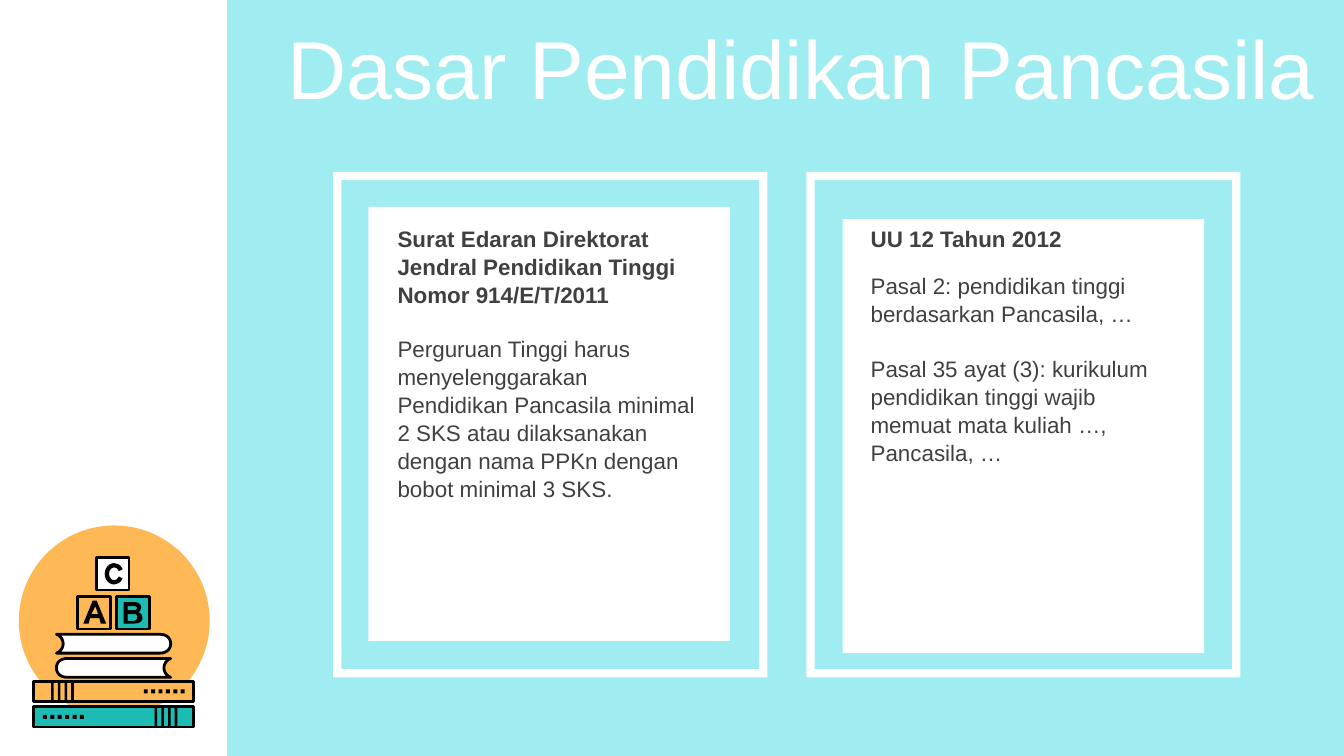
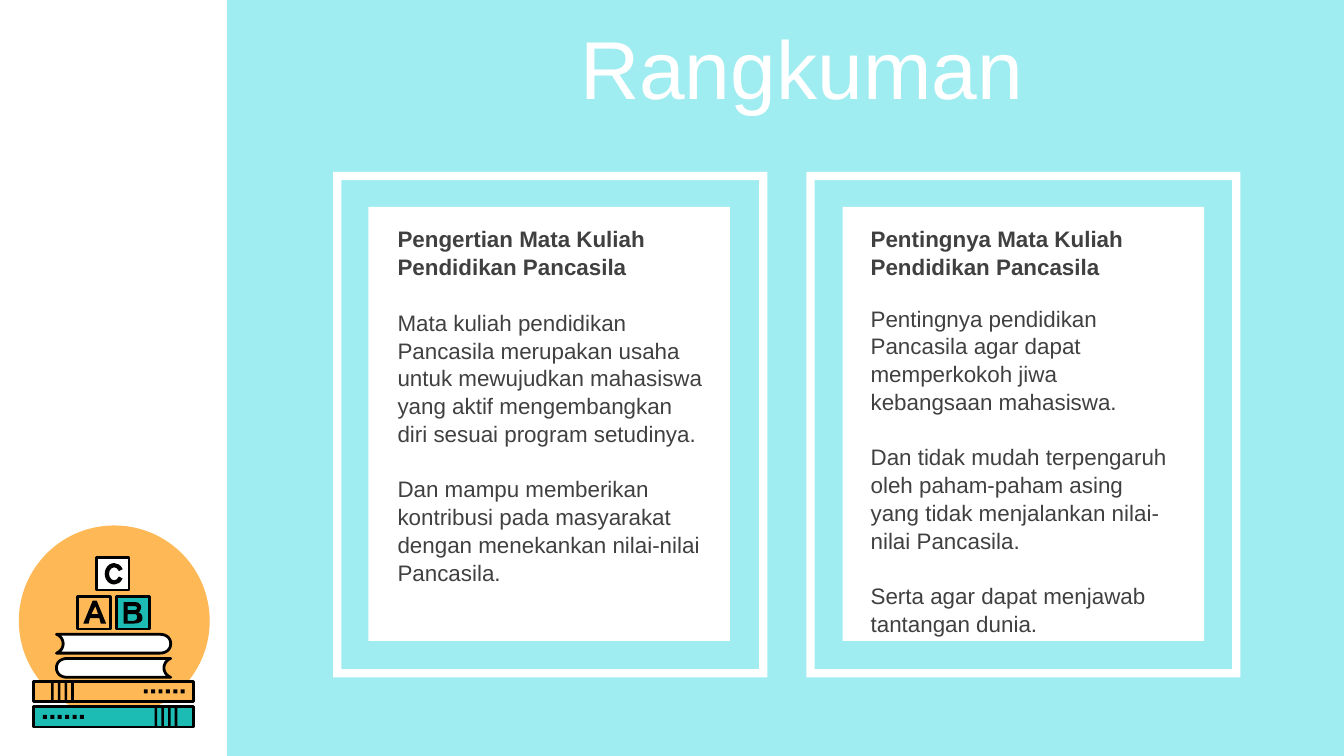
from pptx import Presentation
from pptx.dml.color import RGBColor
from pptx.enum.shapes import MSO_SHAPE
from pptx.enum.text import MSO_ANCHOR, PP_ALIGN
from pptx.util import Inches, Pt

WHITE = RGBColor(0xFF, 0xFF, 0xFF)
BLACK = RGBColor(0x00, 0x00, 0x00)
AQUA = RGBColor(0x9F, 0xED, 0xF0)
ORANGE = RGBColor(0xFE, 0xB8, 0x56)
TEAL = RGBColor(0x1C, 0xBB, 0xB4)
GREY = RGBColor(0x40, 0x40, 0x40)
FONT = "Arial"
CURVE_STEPS = 8

COLUMNS = ((2.48, 2.74, 2.86), (6, 6.27, 6.38))

LETTER_A = (
    ((0.71, 4.51), (0.68, 4.57), (0.73, 4.57)),
    ((0.69, 4.47), (0.72, 4.47), (0.79, 4.64), (0.75, 4.64),
     (0.74, 4.6), (0.67, 4.6), (0.66, 4.64), (0.62, 4.64)),
)
LETTER_B = (
    ((0.95, 4.57), (0.95, 4.62), (1, 4.62),
     (1.02, 4.61, 1.02, 4.61, 1.02, 4.59), (1.02, 4.58, 1.02, 4.57, 1, 4.57)),
    ((0.95, 4.51), (0.95, 4.54), (1, 4.54),
     (1.01, 4.54, 1.02, 4.54, 1.02, 4.52), (1.02, 4.52, 1.01, 4.51, 1, 4.51)),
    ((0.92, 4.48), (1, 4.48),
     (1.04, 4.48, 1.05, 4.51, 1.05, 4.51), (1.05, 4.54, 1.04, 4.55, 1.03, 4.56),
     (1.05, 4.56, 1.06, 4.58, 1.06, 4.6), (1.06, 4.63, 1.03, 4.64, 1, 4.64),
     (0.92, 4.64)),
)
LYING_BOOK = (
    (0.42, 4.72), (1.19, 4.72),
    (1.24, 4.72, 1.27, 4.75, 1.27, 4.79), (1.27, 4.83, 1.24, 4.86, 1.19, 4.86),
    (0.42, 4.86),
    (0.45, 4.85, 0.47, 4.82, 0.47, 4.79), (0.47, 4.76, 0.45, 4.73, 0.42, 4.72),
)

SLIDES = (
    ("Dasar Pendidikan Pancasila", (
        ("Surat Edaran Direktorat Jendral Pendidikan Tinggi Nomor 914/E/T/2011",
         1.54, 2.44, 1.31,
         ("Perguruan Tinggi harus menyelenggarakan Pendidikan Pancasila minimal "
          "2 SKS atau dilaksanakan dengan nama PPKn dengan bobot minimal 3 SKS.",)),
        ("UU 12 Tahun 2012", 1.63, 1.97, 1.51,
         ("Pasal 2: pendidikan tinggi berdasarkan Pancasila, …",
          "Pasal 35 ayat (3): kurikulum pendidikan tinggi wajib memuat mata "
          "kuliah …, Pancasila, …")),
    )),
    ("Rangkuman", (
        ("Pengertian Mata Kuliah Pendidikan Pancasila", 1.54, 2.24, 1.6,
         ("Mata kuliah pendidikan Pancasila merupakan usaha untuk mewujudkan "
          "mahasiswa yang aktif mengembangkan diri sesuai program setudinya.",
          "Dan mampu memberikan kontribusi pada masyarakat dengan menekankan "
          "nilai-nilai Pancasila.")),
        ("Pentingnya Mata Kuliah Pendidikan Pancasila", 1.54, 2.21, 2.52,
         ("Pentingnya pendidikan Pancasila agar dapat memperkokoh jiwa "
          "kebangsaan mahasiswa.",
          "Dan tidak mudah terpengaruh oleh paham-paham asing yang tidak "
          "menjalankan nilai-nilai Pancasila.",
          "Serta agar dapat menjawab tantangan dunia.")),
    )),
)


def paint(shape, fill, outlined=False):
    """Give a shape a flat fill and, if outlined, a black line."""
    shape.shadow.inherit = False
    shape.fill.solid()
    shape.fill.fore_color.rgb = fill
    if outlined:
        shape.line.color.rgb = BLACK
        shape.line.width = Pt(1.5)
    else:
        shape.line.fill.background()


def add_preset(slide, kind, left, top, width, height, fill, outlined=False):
    """Add a painted preset shape, measured in inches."""
    shape = slide.shapes.add_shape(
        kind, Inches(left), Inches(top), Inches(width), Inches(height))
    paint(shape, fill, outlined)
    return shape


def add_rectangle(slide, *placement_and_paint):
    """Add a painted rectangle."""
    return add_preset(slide, MSO_SHAPE.RECTANGLE, *placement_and_paint)


def flatten(segments):
    """Turn points and cubic curves into a list of points."""
    points = []
    for segment in segments:
        if len(segment) == 2:
            points.append(segment)
            continue
        x0, y0 = points[-1]
        x1, y1, x2, y2, x3, y3 = segment
        for step in range(1, CURVE_STEPS + 1):
            t = step / CURVE_STEPS
            a, b, c, d = (1 - t) ** 3, 3 * t * (1 - t) ** 2, 3 * t * t * (1 - t), t ** 3
            points.append((a * x0 + b * x1 + c * x2 + d * x3,
                           a * y0 + b * y1 + c * y2 + d * y3))
    return points


def add_outline(slide, contours, fill, outlined=False):
    """Add a freeform made of closed contours."""
    builder = None
    for contour in contours:
        points = [(Inches(x), Inches(y)) for x, y in flatten(contour)]
        if builder is None:
            builder = slide.shapes.build_freeform(*points[0], scale=1.0)
        else:
            builder.move_to(*points[0])
        builder.add_line_segments(points[1:], close=True)
    paint(builder.convert_to_shape(), fill, outlined)


def add_book_spine(slide, top, fill, stripes_left, dots_left):
    """Add a closed book with four stripes and six dots on its spine."""
    add_rectangle(slide, 0.25, top, 1.19, 0.15, fill, True)
    for index in range(4):
        add_rectangle(slide, stripes_left + index * 0.05, top, 0.02, 0.15, BLACK)
    for index in range(6):
        add_rectangle(slide, dots_left + index * 0.055, top + 0.06, 0.03, 0.03, BLACK)


def add_books_icon(slide):
    """Draw the stack of books and letter blocks."""
    add_preset(slide, MSO_SHAPE.OVAL, 0.14, 3.91, 1.42, 1.42, ORANGE)
    add_book_spine(slide, 5.07, ORANGE, 0.38, 1.07)
    add_book_spine(slide, 5.26, TEAL, 1.15, 0.32)
    for left, top, fill in ((0.58, 4.44, ORANGE), (0.87, 4.44, TEAL), (0.72, 4.15, WHITE)):
        add_rectangle(slide, left, top, 0.24, 0.24, fill, True)
    add_outline(slide, LETTER_A, BLACK)
    add_outline(slide, LETTER_B, BLACK)
    letter_c = add_preset(slide, MSO_SHAPE.BLOCK_ARC, 0.78, 4.19, 0.14, 0.16, BLACK)
    for index, value in enumerate((17.567, 198.895, 0.228)):
        letter_c.adjustments[index] = value
    add_outline(slide, [LYING_BOOK], WHITE, True)
    turned_book = [
        tuple((1.69, 9.76)[index % 2] - value for index, value in enumerate(segment))
        for segment in LYING_BOOK]
    add_outline(slide, [turned_book], WHITE, True)


def add_text(slide, left, top, width, height, texts, size=12, color=GREY, bold=False):
    """Add a wrapped text box with one paragraph per text."""
    box = slide.shapes.add_textbox(
        Inches(left), Inches(top), Inches(width), Inches(height))
    frame = box.text_frame
    frame.word_wrap = True
    for index, text in enumerate(texts):
        paragraph = frame.add_paragraph() if index else frame.paragraphs[0]
        paragraph.text = text
        paragraph.line_spacing = 1.04
        if index:
            paragraph.space_before = Pt(14.4)
        paragraph.font.name = FONT
        paragraph.font.size = Pt(size)
        paragraph.font.bold = bold
        paragraph.font.color.rgb = color
    return frame


def add_title(slide, title):
    """Add the centred white slide title."""
    frame = add_text(slide, 1.93, 0.03, 8.07, 0.85, [title], 44, WHITE)
    frame.vertical_anchor = MSO_ANCHOR.MIDDLE
    frame.margin_top = Inches(0.1)
    frame.paragraphs[0].alignment = PP_ALIGN.CENTER


def add_card(slide, column, heading, panel_top, body_top, body_height, body):
    """Add a framed white panel with a heading and body text."""
    frame_left, panel_left, text_left = column
    frame = add_preset(slide, MSO_SHAPE.FRAME, frame_left, 1.28, 3.23, 3.76, WHITE)
    frame.adjustments[0] = 0.019
    add_rectangle(slide, panel_left, panel_top, 2.69, 3.23, WHITE)
    add_text(slide, text_left, body_top, 2.47, body_height, body)
    add_text(slide, text_left, 1.62, 2.47, body_top - 1.62, [heading], bold=True)


def main():
    """Build both slides and save the presentation."""
    presentation = Presentation()
    presentation.slide_width = Inches(10)
    presentation.slide_height = Inches(5.625)
    for title, cards in SLIDES:
        slide = presentation.slides.add_slide(presentation.slide_layouts[6])
        add_rectangle(slide, 1.69, 0, 8.31, 5.625, AQUA)
        add_books_icon(slide)
        add_title(slide, title)
        for column, card in zip(COLUMNS, cards):
            add_card(slide, column, *card)
    presentation.save("out.pptx")


if __name__ == "__main__":
    main()
